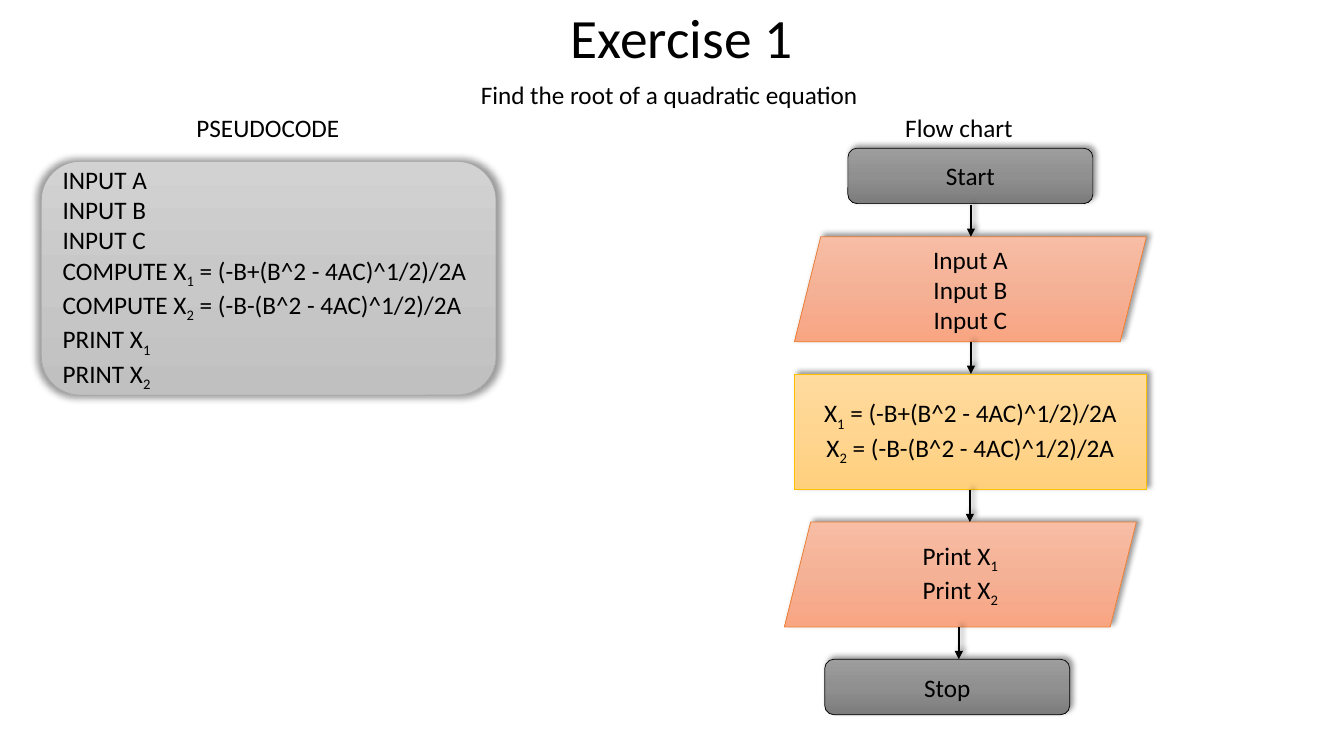
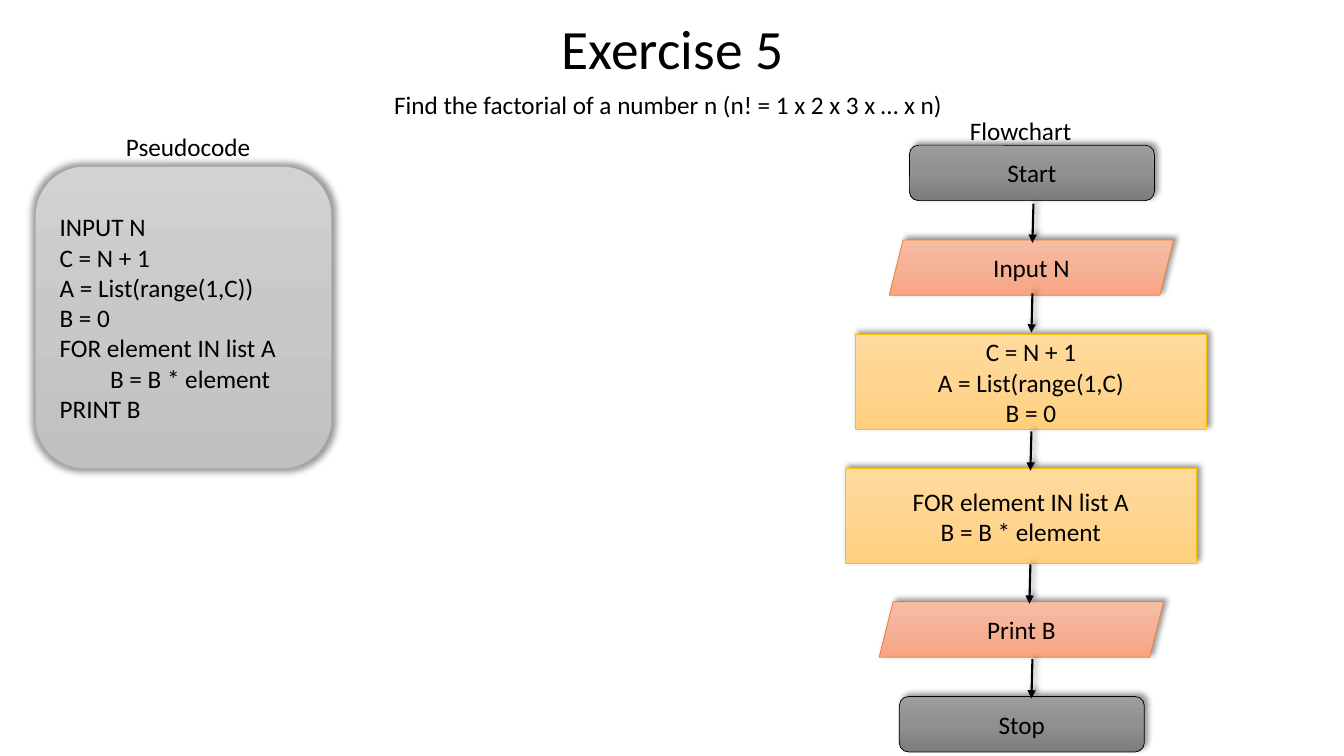
import pptx
import pptx.dml.color
import pptx.enum.shapes
import pptx.enum.text
import pptx.oxml
import pptx.oxml.ns
import pptx.util
from lxml import etree

Inches = pptx.util.Inches
Pt = pptx.util.Pt
RGBColor = pptx.dml.color.RGBColor
MSO_SHAPE = pptx.enum.shapes.MSO_SHAPE
PP_ALIGN = pptx.enum.text.PP_ALIGN
MSO_ANCHOR = pptx.enum.text.MSO_ANCHOR
MSO_AUTO_SIZE = pptx.enum.text.MSO_AUTO_SIZE
qn = pptx.oxml.ns.qn

FONT = "Calibri"
BLACK = RGBColor(0x00, 0x00, 0x00)
GREY = RGBColor(0xA5, 0xA5, 0xA5)
ORANGE = RGBColor(0xED, 0x7D, 0x31)
GOLD = RGBColor(0xFF, 0xC0, 0x00)
LIGHT_GREY_STOPS = (RGBColor(0xD2, 0xD2, 0xD2), RGBColor(0xC8, 0xC8, 0xC8),
                    RGBColor(0xC0, 0xC0, 0xC0))
DARK_GREY_STOPS = (RGBColor(0x9D, 0x9D, 0x9D), RGBColor(0x90, 0x90, 0x90),
                   RGBColor(0x7C, 0x7C, 0x7C))
ORANGE_STOPS = (RGBColor(0xF7, 0xBD, 0xA5), RGBColor(0xF5, 0xB1, 0x96),
                RGBColor(0xF8, 0xA5, 0x82))
GOLD_STOPS = (RGBColor(0xFF, 0xDB, 0x9E), RGBColor(0xFF, 0xD5, 0x90),
              RGBColor(0xFF, 0xD0, 0x7C))

CODE = (MSO_SHAPE.ROUNDED_RECTANGLE, LIGHT_GREY_STOPS, GREY)
TERMINAL = (MSO_SHAPE.ROUNDED_RECTANGLE, DARK_GREY_STOPS, BLACK)
DATA = (MSO_SHAPE.PARALLELOGRAM, ORANGE_STOPS, ORANGE)
PROCESS = (MSO_SHAPE.RECTANGLE, GOLD_STOPS, GOLD)

DROP_SHADOW = {"blurRad": Pt(4), "dist": Pt(3), "dir": 315 * 60000, "algn": "bl"}
HALO = {"blurRad": Pt(5), "sx": 102000, "sy": 102000, "algn": "ctr"}


def write_text(frame, text, size=18, align=PP_ALIGN.LEFT, spacing=None,
               anchor=MSO_ANCHOR.MIDDLE, wrap=True, auto_size=MSO_AUTO_SIZE.NONE):
    frame.word_wrap = wrap
    frame.auto_size = auto_size
    frame.vertical_anchor = anchor
    for index, line in enumerate(text.split("\n")):
        paragraph = frame.add_paragraph() if index else frame.paragraphs[0]
        paragraph.alignment = align
        if spacing:
            paragraph.line_spacing = spacing
        plain, *marked = line.split("_")
        pieces = [(plain, False)]
        for piece in marked:
            pieces += [(piece[0], True), (piece[1:], False)]
        for content, subscript in pieces:
            if not content:
                continue
            run = paragraph.add_run()
            run.text = content
            run.font.name = FONT
            run.font.size = Pt(size)
            run.font.color.rgb = BLACK
            if subscript:
                run._r.get_or_add_rPr().set("baseline", "-25000")


def add_shadow(properties, settings):
    effects = properties.find(qn("a:effectLst"))
    if effects is None:
        effects = etree.SubElement(properties, qn("a:effectLst"))
    shadow = etree.SubElement(effects, qn("a:outerShdw"), rotWithShape="0")
    for name, value in settings.items():
        shadow.set(name, str(value))
    color = etree.SubElement(shadow, qn("a:srgbClr"), val=str(BLACK))
    etree.SubElement(color, qn("a:alpha"), val="40000")


def fill_gradient(shape, colors):
    shape.fill.gradient()
    shape.fill.gradient_angle = 270
    stop_list = shape._element.spPr.find(".//" + qn("a:gsLst"))
    for child in list(stop_list):
        stop_list.remove(child)
    for index, color in enumerate(colors):
        stop = etree.SubElement(stop_list, qn("a:gs"), pos=str(index * 50000))
        etree.SubElement(stop, qn("a:srgbClr"), val=str(color))


class Deck:
    def __init__(self):
        self.presentation = pptx.Presentation()
        self.presentation.slide_width = Inches(13.33)
        self.presentation.slide_height = Inches(7.5)
        self.slide = None

    def add_slide(self, title, top, width):
        self.slide = self.presentation.slides.add_slide(
            self.presentation.slide_layouts[5])
        shape = self.slide.shapes.title
        shape.left, shape.top = Inches(0.92), Inches(top)
        shape.width, shape.height = Inches(width), Inches(0.67)
        write_text(shape.text_frame, title, size=39.6,
                   align=PP_ALIGN.CENTER, spacing=0.9)

    def add_label(self, text, left, top, width):
        box = self.slide.shapes.add_textbox(
            Inches(left), Inches(top), Inches(width), Inches(0.4))
        write_text(box.text_frame, text, anchor=MSO_ANCHOR.TOP, wrap=False,
                   auto_size=MSO_AUTO_SIZE.SHAPE_TO_FIT_TEXT)

    def add_box(self, style, text, left, top, width, height,
                align=PP_ALIGN.CENTER, shadow=DROP_SHADOW):
        preset, stops, outline = style
        shape = self.slide.shapes.add_shape(
            preset, Inches(left), Inches(top), Inches(width), Inches(height))
        fill_gradient(shape, stops)
        shape.line.color.rgb = outline
        shape.line.width = Pt(0.5)
        shape.shadow.inherit = False
        add_shadow(shape._element.spPr, shadow)
        write_text(shape.text_frame, text, align=align)

    def add_code(self, text, left, top, width, height):
        self.add_box(CODE, text, left, top, width, height,
                     align=PP_ALIGN.LEFT, shadow=HALO)

    def add_terminal(self, text, left, top):
        self.add_box(TERMINAL, text, left, top, 2.43, 0.55)

    def add_arrow(self, left, top, length, lean=0):
        connector = self.slide.shapes.add_connector(
            pptx.enum.shapes.MSO_CONNECTOR.STRAIGHT, Inches(left), Inches(top),
            Inches(left - lean), Inches(top + length))
        connector.line.color.rgb = BLACK
        connector.line.width = Pt(1.5)
        etree.SubElement(connector.line._get_or_add_ln(), qn("a:tailEnd"),
                         type="triangle")
        add_shadow(connector._element.spPr, DROP_SHADOW)


def build_quadratic(deck):
    deck.add_slide("Exercise 1", 0.07, 11.68)
    deck.add_label("Find the root of a quadratic equation", 4.67, 0.74, 3.99)
    roots = ("X_1 = (-B+(B^2 - 4AC)^1/2)/2A", "X_2 = (-B-(B^2 - 4AC)^1/2)/2A")
    computations = "\n".join("COMPUTE " + root for root in roots)
    deck.add_code("INPUT A\nINPUT B\nINPUT C\n" + computations
                  + "\nPRINT X_1\nPRINT X_2", 0.41, 1.6, 4.51, 2.32)
    deck.add_label("PSEUDOCODE", 1.85, 1.07, 1.63)
    deck.add_label("Flow chart", 8.88, 1.07, 1.28)
    deck.add_terminal("Start", 8.41, 1.47)
    deck.add_box(DATA, "Input A\nInput B\nInput C", 7.88, 2.35, 3.49, 1.04)
    deck.add_box(PROCESS, "\n".join(roots), 7.88, 3.71, 3.49, 1.15)
    deck.add_box(DATA, "Print X_1\nPrint X_2", 7.78, 5.18, 3.49, 1.04)
    deck.add_terminal("Stop", 8.18, 6.54)
    for left, top in ((9.63, 2.03), (9.63, 3.39), (9.62, 4.86), (9.51, 6.22)):
        deck.add_arrow(left, top, 0.32)


def build_factorial(deck):
    deck.add_slide("Exercise 5", 0.18, 11.5)
    deck.add_label("Find the factorial of a number n (n! = 1 x 2 x 3 x … x n)",
                   3.81, 0.84, 5.71)
    deck.add_code("INPUT N\nC = N + 1\nA = List(range(1,C))\nB = 0\n"
                  "FOR element IN list A\n\tB = B * element\nPRINT B",
                  0.35, 1.65, 2.94, 3)
    deck.add_label("Pseudocode", 1.15, 1.25, 1.45)
    deck.add_label("Flowchart", 9.52, 1.09, 1.22)
    deck.add_terminal("Start", 9.02, 1.44)
    deck.add_box(DATA, "Input N", 8.82, 2.38, 2.82, 0.55)
    deck.add_box(PROCESS, "C = N + 1\nA = List(range(1,C)\nB = 0",
                 8.48, 3.32, 3.49, 0.94)
    deck.add_box(PROCESS, "FOR element IN list A\nB = B * element",
                 8.38, 4.65, 3.49, 0.94)
    deck.add_box(DATA, "Print B", 8.72, 5.97, 2.82, 0.55)
    deck.add_terminal("Stop", 8.92, 6.91)
    for left, top in ((10.25, 2.02), (10.24, 2.91), (10.23, 4.28),
                      (10.22, 5.6), (10.24, 6.54)):
        deck.add_arrow(left, top, 0.39, lean=0.01)


deck = Deck()
build_quadratic(deck)
build_factorial(deck)
deck.presentation.save("out.pptx")
